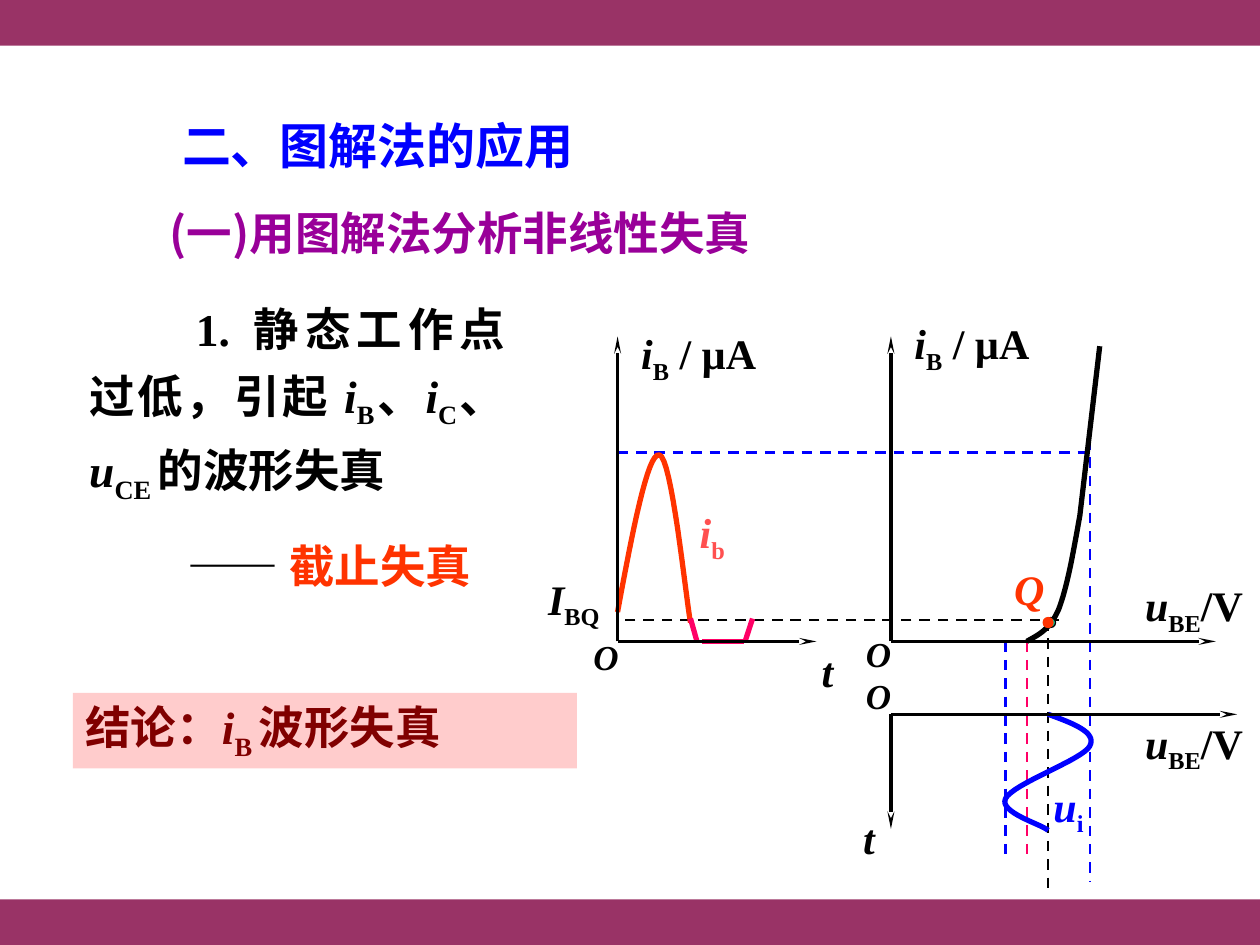
from dataclasses import dataclass

from lxml import etree
from pptx import Presentation
from pptx import util as u
from pptx.dml.color import RGBColor
from pptx.enum import dml, shapes, text
from pptx.oxml.ns import qn


@dataclass(frozen=True)
class Theme:
    latin: str = "Times New Roman"
    asian: str = "Noto Sans CJK SC"
    band: str = "993366"
    blue: str = "0000FF"
    purple: str = "990099"
    black: str = "000000"
    orange: str = "FF3300"
    coral: str = "FF5050"
    pink: str = "FF0066"
    green: str = "00CC99"
    maroon: str = "800000"
    blush: str = "FFCCCC"
    title: int = 28
    body: int = 26
    label: int = 24
    origin: int = 20
    guide: float = 1.5
    axis: float = 2
    curve: float = 3
    outline: float = 0.75


THEME = Theme()
LEFT, CENTER, JUSTIFY = text.PP_ALIGN.LEFT, text.PP_ALIGN.CENTER, text.PP_ALIGN.JUSTIFY


def apply(target, values):
    for name, value in values.items():
        setattr(target, name, value)


def color(value):
    return RGBColor.from_string(value)


def symbol(name, index=""):
    return [(name, {"italic": True})] + ([(index, {"sub": True})] if index else [])


def add_run(paragraph, content, size, ink, italic=False, sub=False, latin=THEME.latin):
    run = paragraph.add_run()
    run.text = content
    run.font.color.rgb = color(ink)
    apply(run.font, {"size": u.Pt(size), "bold": True, "italic": italic, "name": latin})
    properties = run._r.get_or_add_rPr()
    etree.SubElement(properties, qn("a:ea")).set("typeface", THEME.asian)
    if sub:
        properties.set("baseline", "-25000")


def write(shape, runs, size, ink, align=LEFT, wrap=True, anchor=text.MSO_ANCHOR.TOP,
          spacing=None, indent=0):
    frame = shape.text_frame
    apply(frame, {"word_wrap": wrap, "vertical_anchor": anchor,
                  "auto_size": text.MSO_AUTO_SIZE.SHAPE_TO_FIT_TEXT})
    paragraph = frame.paragraphs[0]
    apply(paragraph, {"alignment": align, "line_spacing": spacing})
    if indent:
        paragraph._p.get_or_add_pPr().set("indent", str(u.Cm(indent)))
    for content, style in runs:
        add_run(paragraph, content, **{"size": size, "ink": ink, **style})


def add_text(slide, box, runs, size, ink, **layout):
    shape = slide.shapes.add_textbox(*map(u.Cm, box))
    write(shape, runs, size, ink, **layout)


def add_label(slide, left, top, width, height, runs, ink=THEME.black, size=THEME.label,
              wrap=False):
    add_text(slide, (left, top, width, height), runs, size, ink, align=CENTER,
             wrap=wrap, anchor=text.MSO_ANCHOR.MIDDLE)


def add_origin(slide, left, top):
    add_label(slide, left, top, 1.02, 1.12, symbol("O"), size=THEME.origin)


def add_time_label(slide, left, top):
    add_label(slide, left, top, 0.74, 1.27, symbol("t"))


def add_voltage_label(slide, left, top):
    add_label(slide, left, top, 2.66, 1.42, symbol("u", "BE") + [("/V", {})], wrap=True)


def add_current_label(slide, left, top):
    add_label(slide, left, top, 4.55, 1.42, symbol("i", "B") + [(" / µA", {})])


def add_block(slide, kind, box, fill, outline=None):
    shape = slide.shapes.add_shape(kind, *map(u.Cm, box))
    shape.shadow.inherit = False
    shape.fill.solid()
    shape.fill.fore_color.rgb = color(fill)
    if outline:
        shape.line.color.rgb = color(outline)
        shape.line.width = u.Pt(THEME.outline)
    else:
        shape.line.fill.background()
    return shape


def add_line(slide, start, end, ink, width, dashed=False, arrow=False):
    connector = slide.shapes.add_connector(
        shapes.MSO_CONNECTOR.STRAIGHT, *map(u.Cm, (*start, *end)))
    connector.line.color.rgb = color(ink)
    connector.line.width = u.Pt(width)
    if dashed:
        connector.line.dash_style = dml.MSO_LINE.DASH
    properties = connector._element.spPr
    if arrow:
        etree.SubElement(properties.find(qn("a:ln")), qn("a:tailEnd"),
                         {"type": "stealth", "w": "sm", "len": "lg"})
    etree.SubElement(properties, qn("a:effectLst"))


def add_axes(slide, origin, *ends):
    for end in ends:
        add_line(slide, origin, end, THEME.black, THEME.axis, arrow=True)


def bezier(knots, t):
    weights = ((1 - t) ** 3, 3 * t * (1 - t) ** 2, 3 * t * t * (1 - t), t ** 3)
    return tuple(sum(w * knot[axis] for w, knot in zip(weights, knots)) for axis in (0, 1))


def add_curve(slide, left, top, knots, ink, tail=(), steps=16):
    points = [knots[0]]
    for first in range(0, len(knots) - 1, 3):
        points += [bezier(knots[first:first + 4], step / steps) for step in range(1, steps + 1)]
    start, *rest = [(u.Cm(left + x), u.Cm(top + y)) for x, y in [*points, *tail]]
    builder = slide.shapes.build_freeform(*start)
    builder.add_line_segments(rest, close=False)
    shape = builder.convert_to_shape()
    shape.shadow.inherit = False
    shape.fill.background()
    shape.line.color.rgb = color(ink)
    shape.line.width = u.Pt(THEME.curve)


def draw_bands(slide, left, top, width, height):
    band = 0.92
    for y in (top, top + height - band):
        add_block(slide, shapes.MSO_SHAPE.RECTANGLE, (left, y, width, band), THEME.band)


def draw_headings(slide, left, top, width, height):
    add_text(slide, (left + 0.25, top, 10.75, 1.45), [("二、图解法的应用", {})],
             THEME.title, THEME.blue)
    sans = {"latin": THEME.asian}
    add_text(slide, (left, top + height - 1.37, width, 1.37),
             [("(", sans), ("一", {}), (")用图解法分析非线性失真", sans)],
             THEME.body, THEME.purple, align=JUSTIFY)


def draw_explanation(slide, left, top, width, height):
    runs = [("1. 静态工作点过低，引起 ", {}), *symbol("i", "B"), ("、", {}),
            *symbol("i", "C"), ("、", {}), *symbol("u", "CE "), ("的波形失真", {})]
    add_text(slide, (left, top, width, 4.6), runs, THEME.body, THEME.black,
             align=JUSTIFY, spacing=1.2, indent=2.15)
    add_text(slide, (left + 0.15, top + height - 1.37, 8.46, 1.37),
             [("—— ", {}), ("截止失真", {"ink": THEME.orange})],
             THEME.body, THEME.black, align=JUSTIFY, indent=1.84)


def draw_conclusion(slide, *box):
    shape = add_block(slide, shapes.MSO_SHAPE.RECTANGLE, box, THEME.blush)
    write(shape, [("结论：", {}), *symbol("i", "B "), ("波形失真", {})],
          THEME.body, THEME.maroon, align=JUSTIFY)


def draw_guides(slide, left, top, width, height):
    for x1, y1, x2, y2, ink in (
            (0, 0.64, width, 0.64, THEME.blue),
            (width, 0, width, 9.3, THEME.blue),
            (7.82, 4.45, 7.82, 8.89, THEME.blue),
            (8.25, 4.45, 8.25, 8.89, THEME.pink),
            (8.89, 4.02, 0, 4.02, THEME.black),
            (8.68, 4.02, 8.68, height, THEME.black)):
        add_line(slide, (left + x1, top + y1), (left + x2, top + y2), ink, THEME.guide, dashed=True)


def draw_base_current(slide, left, top, width, height):
    bottom = top + height
    add_curve(slide, left, top, [(0, 5.56), (0.3, 3.94), (0.61, 2.34), (0.84, 2.39),
                                 (1.09, 2.41), (1.37, 5.21), (1.47, 5.77)], THEME.orange)
    for x1, rise1, x2, rise2 in ((1.47, 0.46, 1.6, 0), (1.7, 0, 2.54, 0), (2.57, 0, 2.72, 0.46)):
        add_line(slide, (left + x1, bottom - rise1), (left + x2, bottom - rise2),
                 THEME.pink, THEME.curve)
    add_axes(slide, (left, bottom), (left + width, bottom), (left, top))
    add_current_label(slide, left - 0.64, top - 0.3)
    add_label(slide, left + 1.4, top + 3.3, 1.02, 1.42, symbol("i", "b"), THEME.coral)
    add_time_label(slide, left + 3.86, bottom - 0.05)
    add_origin(slide, left - 0.74, bottom - 0.26)
    add_text(slide, (left - 1.65, top + 4.65, 2.74, 1.42), symbol("I", "BQ"),
             THEME.label, THEME.black)


def draw_input_characteristic(slide, left, top, width, height):
    bottom = top + height
    add_curve(slide, left, top, [(2.74, 6.15), (2.97, 6.02), (3.2, 5.92), (3.38, 5.51),
                                 (3.55, 5.08), (3.68, 4.35), (3.81, 3.61)],
              THEME.black, tail=[(4.21, 0.2)])
    add_axes(slide, (left, bottom), (left + width, bottom), (left, top))
    for x, fill, outline in ((3.12, THEME.green, THEME.black), (3.07, THEME.orange, THEME.orange)):
        add_block(slide, shapes.MSO_SHAPE.OVAL, (left + x, top + 5.67, 0.2, 0.2), fill, outline)
    add_current_label(slide, left - 0.64, top - 0.51)
    add_label(slide, left + 2.23, top + 4.45, 1.12, 1.27, symbol("Q"), THEME.orange)
    add_voltage_label(slide, left + 4.78, top + 4.78)
    add_origin(slide, left - 0.76, bottom - 0.31)


def draw_input_voltage(slide, left, top, width, height):
    add_curve(slide, left, top, [(3.17, 0), (3.66, 0.18), (4.16, 0.36), (4.01, 0.64),
                                 (3.88, 0.91), (2.46, 1.4), (2.31, 1.7),
                                 (2.18, 1.98), (3.02, 2.21), (3.17, 2.34)], THEME.blue)
    add_axes(slide, (left, top), (left + width, top), (left, top + height))
    add_label(slide, left + 3.02, top + 1.2, 1.12, 1.42, symbol("u", "i"), THEME.blue)
    add_voltage_label(slide, left + 4.78, top - 0.07)
    add_origin(slide, left - 0.76, top - 0.94)
    add_time_label(slide, left - 0.81, top + 1.86)


def main():
    presentation = Presentation()
    apply(presentation, {"slide_width": u.Cm(25.4), "slide_height": u.Cm(19.05)})
    slide = presentation.slides.add_slide(presentation.slide_layouts[6])
    draw_bands(slide, 0, 0, 25.4, 19.05)
    draw_headings(slide, 3.17, 2.21, 15.88, 3.17)
    draw_explanation(slide, 1.55, 5.72, 8.89, 6.37)
    draw_conclusion(slide, 1.47, 13.97, 10.16, 1.52)
    draw_guides(slide, 12.45, 8.48, 9.52, 9.53)
    draw_base_current(slide, 12.45, 6.78, 4.01, 6.15)
    draw_input_voltage(slide, 17.96, 14.4, 6.98, 2.31)
    draw_input_characteristic(slide, 17.96, 6.78, 6.55, 6.15)
    presentation.save("out.pptx")


if __name__ == "__main__":
    main()
